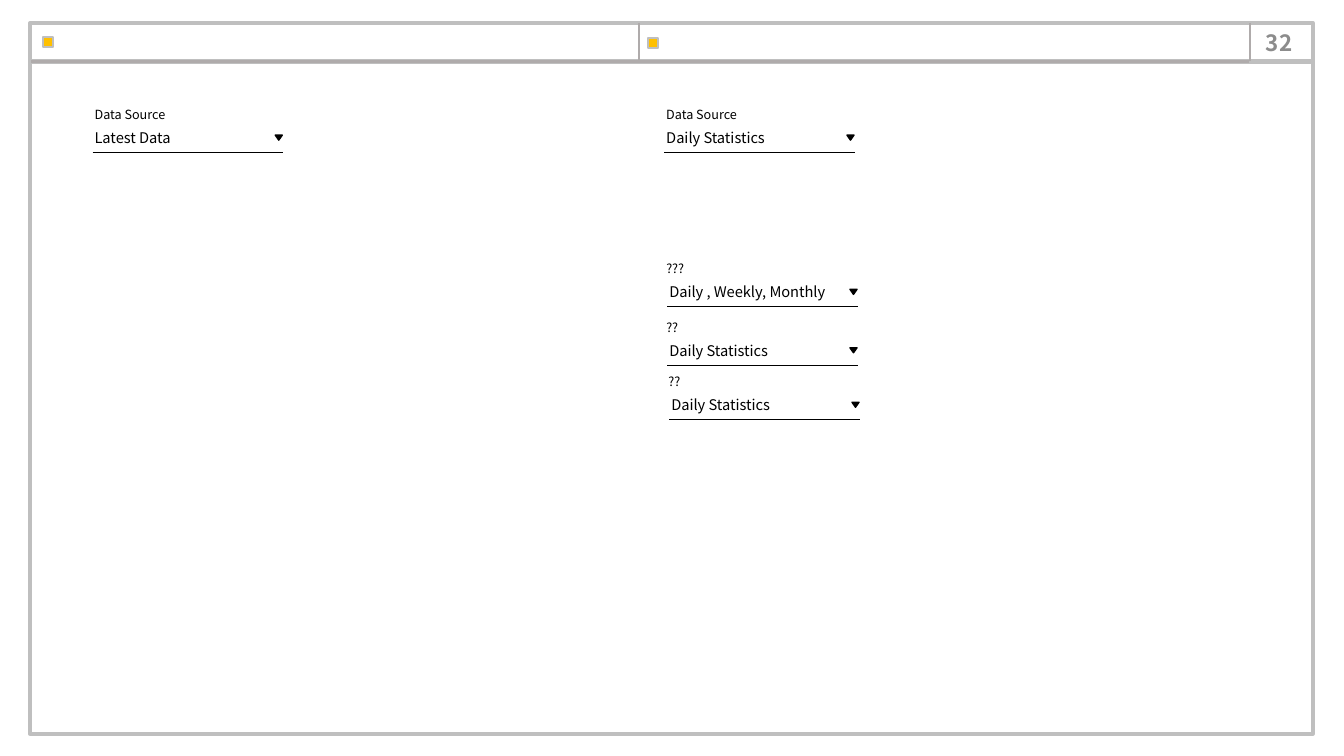
import pptx
import pptx.util
import pptx.dml.color
import pptx.enum.shapes
import pptx.enum.text
from lxml import etree

Inches, Pt = pptx.util.Inches, pptx.util.Pt
Shape = pptx.enum.shapes.MSO_SHAPE
Align = pptx.enum.text.PP_ALIGN
Anchor = pptx.enum.text.MSO_ANCHOR
FONT = "Noto Sans CJK KR"
GREY, RULE, GOLD, INK = "BFBFBF", "AFABAB", "FFC000", "000000"

deck = pptx.Presentation()
deck.slide_width, deck.slide_height = Inches(13.33), Inches(7.5)
shapes = deck.slides.add_slide(deck.slide_layouts[6]).shapes


def draw(kind, box, line, width, fill=None):
    """Add a rule (box is two end points) if kind is None, else a preset shape."""
    ends = [Inches(v) for v in box]
    if kind is None:
        item = shapes.add_connector(pptx.enum.shapes.MSO_CONNECTOR.STRAIGHT, *ends)
        etree.SubElement(item.line._get_or_add_ln().getparent(),
                         pptx.oxml.ns.qn("a:effectLst"))
    else:
        item = shapes.add_shape(kind, *ends)
        item.shadow.inherit = False
        if fill:
            item.fill.solid()
            item.fill.fore_color.rgb = pptx.dml.color.RGBColor.from_string(fill)
        else:
            item.fill.background()
    item.line.color.rgb = pptx.dml.color.RGBColor.from_string(line)
    item.line.width = Pt(width)
    return item


def write(text, box, size, color=INK, wrap=True):
    item = shapes.add_textbox(*[Inches(v) for v in box])
    frame = item.text_frame
    frame.word_wrap = wrap
    para = frame.paragraphs[0]
    para.text = text
    para.font.name, para.font.size = FONT, Pt(size)
    para.font.color.rgb = pptx.dml.color.RGBColor.from_string(color)
    return frame


# Page frame and header
left, top, head, wide = 0.3, 0.23, 0.61, 12.72
draw(Shape.RECTANGLE, (left, head, wide, 6.67), GREY, 3, "FFFFFF")
draw(Shape.RECTANGLE, (left, top, wide, head - top), GREY, 3)
draw(None, (0.31, head, 12.39, head), RULE, 1.5)
for x, y in ((0.43, 0.37), (6.43, 0.38)):
    draw(Shape.RECTANGLE, (x, y, 0.1, 0.1), GREY, 1.5, GOLD)
for x in (12.4, 6.34):
    draw(None, (x, head, x, top), RULE, 1.5)

page = write("32", (12.34, 0.24, 0.69, 0.36), 16, "8C8C8C")
page.vertical_anchor = Anchor.MIDDLE
page.paragraphs[0].alignment = Align.CENTER
page.paragraphs[0].font.bold = True

# Drop-down fields: label, value, rule left, rule height, label left, label width
fields = (
    ("Data Source", "Latest Data", 0.92, 1.51, 0.84, 0.9),
    ("Data Source", "Daily Statistics", 6.59, 1.51, 6.51, 0.9),
    ("???", "Daily , Weekly, Monthly", 6.62, 3.04, 6.51, 0.38),
    ("??", "Daily Statistics", 6.62, 3.62, 6.51, 0.32),
    ("??", "Daily Statistics", 6.64, 4.16, 6.53, 0.32),
)
for label, value, x, y, edge, span in fields:
    draw(None, (x, y, x + 1.89, y), INK, 0.5)
    arrow = draw(Shape.ISOSCELES_TRIANGLE, (x + 1.81, y - 0.17, 0.07, 0.05), INK, 1, INK)
    arrow.rotation = 180
    write(value, (x - 0.08, y - 0.28, 1.86, 0.28), 10.5)
    write(label, (edge, y - 0.5, span, 0.25), 9, wrap=False)

deck.save("out.pptx")
